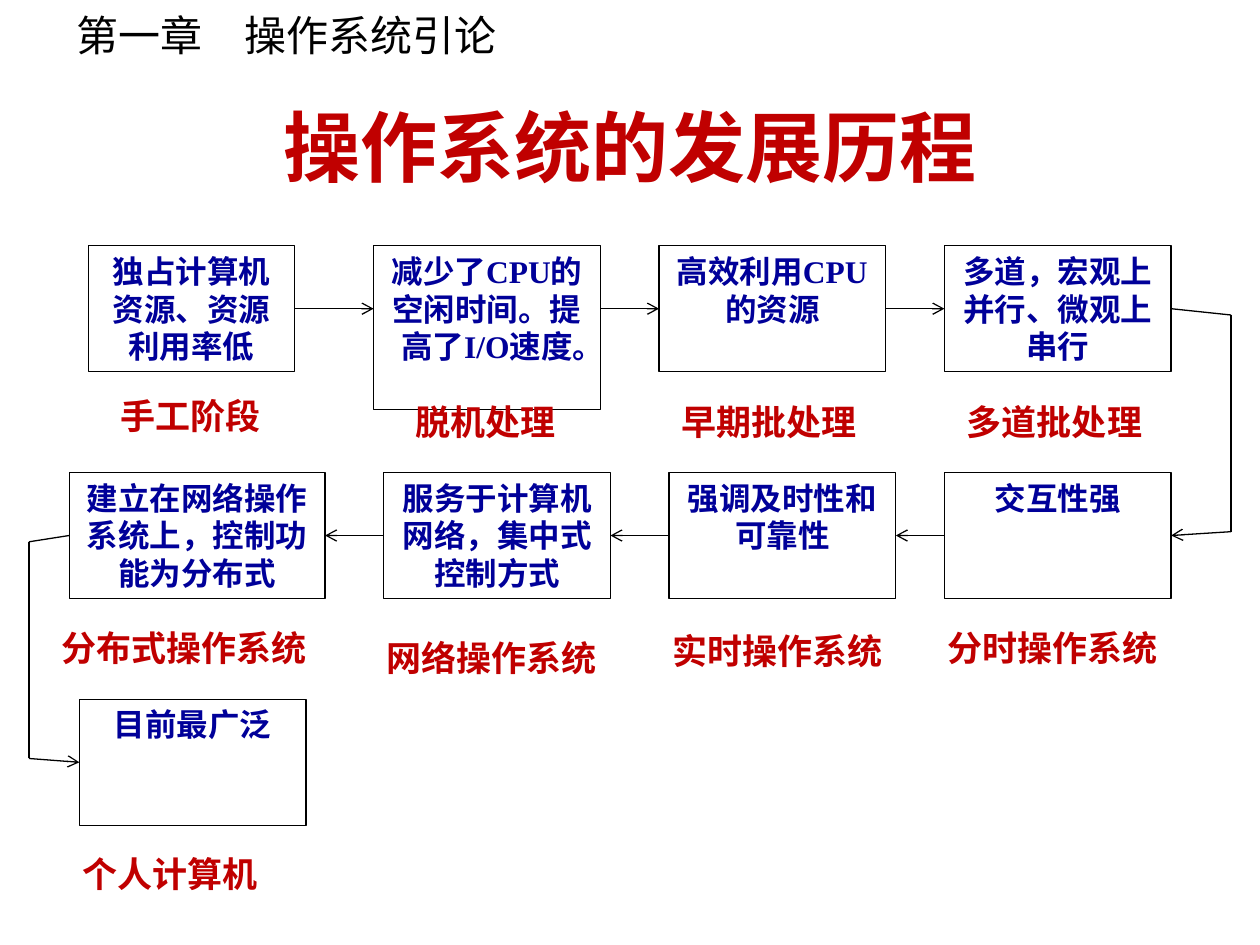
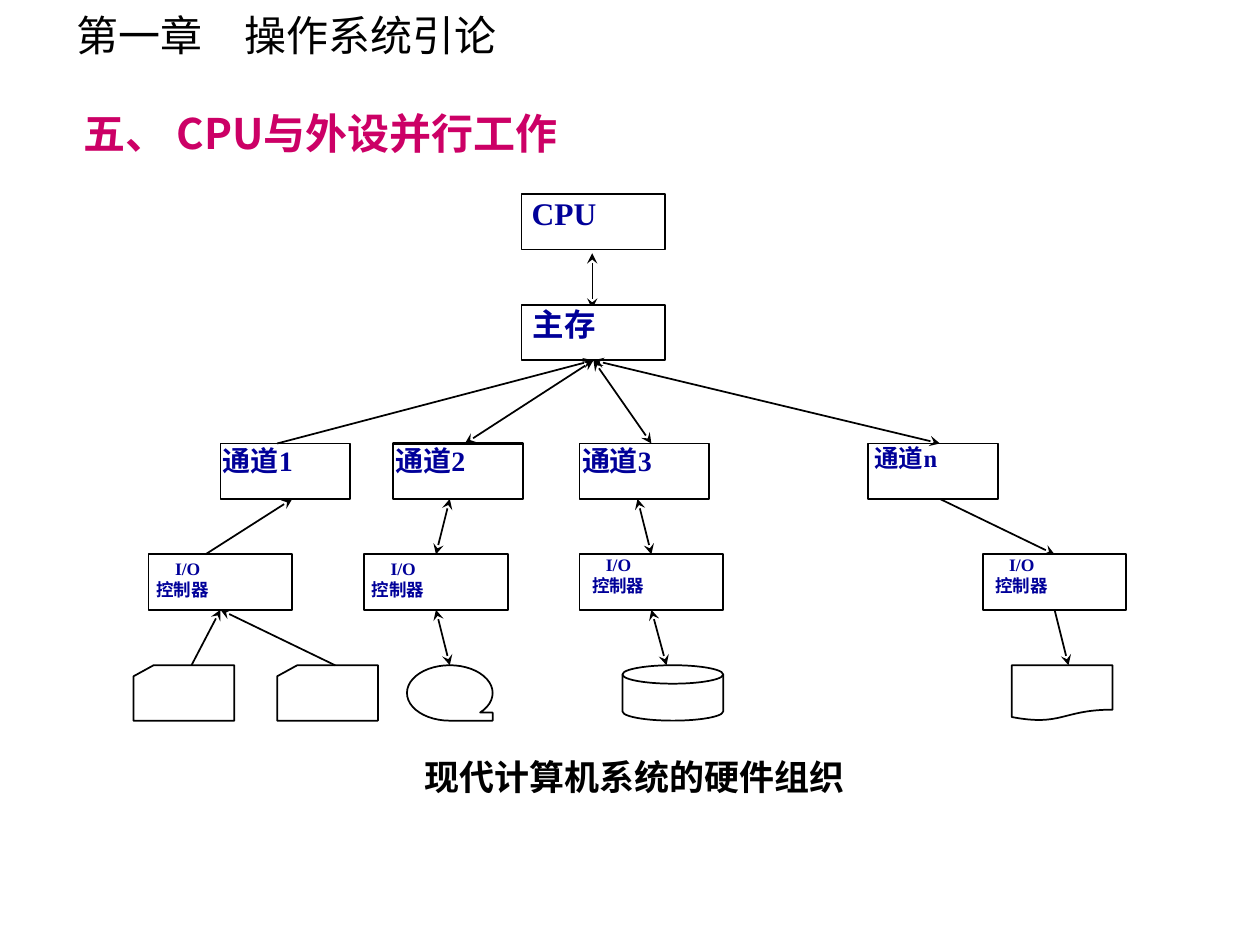
from dataclasses import dataclass

from lxml.etree import SubElement
from pptx import Presentation
from pptx.dml.color import RGBColor
from pptx.enum.shapes import MSO_CONNECTOR, MSO_SHAPE
from pptx.enum.text import MSO_ANCHOR, PP_ALIGN
from pptx.oxml.ns import qn
from pptx.util import Inches, Pt


@dataclass(frozen=True)
class Theme:
    black: str = "000000"
    white: str = "FFFFFF"
    navy: str = "000099"
    red: str = "C00000"
    magenta: str = "CC0066"
    serif: str = "Times New Roman"
    sans: str = "Noto Sans CJK SC"
    title: int = 44
    heading: int = 24
    label: int = 20
    body: int = 18
    channel: int = 16
    small: int = 14
    tiny: int = 10


THEME = Theme()
TOP, LEFT, BOTTOM, RIGHT = range(4)


def write_text(shape, lines, size, color, font=THEME.serif, bold=True,
               align=PP_ALIGN.LEFT, anchor=MSO_ANCHOR.TOP, insets=(0.1, 0.05)):
    """Fill a shape with (text, indent in inches) lines in one style."""
    frame = shape.text_frame
    frame.word_wrap = True
    frame.vertical_anchor = anchor
    frame.margin_left = frame.margin_right = Inches(insets[0])
    frame.margin_top = frame.margin_bottom = Inches(insets[1])
    for number, (text, indent) in enumerate(lines):
        paragraph = frame.add_paragraph() if number else frame.paragraphs[0]
        paragraph.text = text
        paragraph.alignment = align
        properties = paragraph._p.get_or_add_pPr()
        if indent:
            properties.set("marL", str(Inches(indent)))
            properties.set("indent", "0")
        paragraph.font.size = Pt(size)
        paragraph.font.bold = bold
        paragraph.font.color.rgb = RGBColor.from_string(color)
        paragraph.font.name = font
        SubElement(properties.find(qn("a:defRPr")), qn("a:ea"), typeface=THEME.sans)


def connect(slide, begin, end, head=None, tail=None, width=0.75):
    """Draw a line; each end is an (x, y) point or a (shape, side) pair."""
    points = [end_point if isinstance(end_point[0], (int, float)) else (0, 0)
              for end_point in (begin, end)]
    connector = slide.shapes.add_connector(
        MSO_CONNECTOR.STRAIGHT, *[Inches(value) for point in points for value in point])
    if not isinstance(begin[0], (int, float)):
        connector.begin_connect(*begin)
    if not isinstance(end[0], (int, float)):
        connector.end_connect(*end)
    connector.line.width = Pt(width)
    connector.line.color.rgb = RGBColor.from_string(THEME.black)
    outline = connector.line._get_or_add_ln()
    for tag, arrow in (("a:headEnd", head), ("a:tailEnd", tail)):
        if arrow:
            SubElement(outline, qn(tag), type=arrow)
    SubElement(connector._element.spPr, qn("a:effectLst"))


presentation = Presentation()
presentation.slide_width, presentation.slide_height = Inches(10), Inches(7.5)

# Both slides: chapter header and title placeholder
slides = []
for title, box, size, color, font, align, anchor in (
    ("操作系统的发展历程", (0.75, 0.67, 8.5, 0.97), THEME.title, THEME.red,
     THEME.serif, PP_ALIGN.CENTER, MSO_ANCHOR.MIDDLE),
    ("五、 CPU与外设并行工作", (0.56, 0.78, 5.58, 0.52), THEME.heading, THEME.magenta,
     THEME.sans, PP_ALIGN.LEFT, MSO_ANCHOR.TOP),
):
    slide = presentation.slides.add_slide(presentation.slide_layouts[5])
    header = slide.shapes.add_textbox(*map(Inches, (0.51, 0.03, 3.61, 0.5)))
    write_text(header, [("第一章　操作系统引论", 0)], THEME.heading, THEME.black,
               THEME.sans, bold=False)
    heading = slide.shapes.title
    heading.left, heading.top, heading.width, heading.height = map(Inches, box)
    write_text(heading, [(title, 0)], size, color, font, align=align, anchor=anchor)
    slides.append(slide)
history, hardware = slides
hardware.shapes.title.text_frame.paragraphs[0].line_spacing = 1.05

# Slide 1: stages on a grid, each with a label centred below its box
FIRST_LEFT, COLUMN = 0.7, 2.265
FIRST_TOP, ROW = 1.95, 1.8
# row, column, shift, width, height, text, label, label width, label shift, label drop
stages = (
    (0, 0, 0, 1.64, 1, "独占计算机资源、资源利用率低", "手工阶段", 1.33, 0, 1.13),
    (0, 1, 0, 1.8, 1.3, "减少了CPU的空闲时间。提高了I/O速度。", "脱机处理", 1.33, 0, 1.18),
    (0, 2, 0, 1.8, 1, "高效利用CPU的资源", "早期批处理", 1.64, 0, 1.18),
    (0, 3, 0, 1.8, 1, "多道，宏观上并行、微观上串行", "多道批处理", 1.64, 0, 1.18),
    (1, 3, 0, 1.8, 1, "交互性强", "分时操作系统", 1.95, 0, 1.17),
    (1, 2, 0.08, 1.8, 1, "强调及时性和可靠性", "实时操作系统", 1.95, 0, 1.2),
    (1, 1, 0.08, 1.8, 1, "服务于计算机网络，集中式控制方式", "网络操作系统", 1.95, 0, 1.25),
    (1, 0, -0.15, 2.03, 1, "建立在网络操作系统上，控制功能为分布式", "分布式操作系统",
     2.19, -0.08, 1.17),
    (2, 0, -0.07, 1.8, 1, "目前最广泛", "个人计算机", 1.95, 0, 1.17),
)
boxes = []
for (row, column, shift, width, height, text,
     label, label_width, label_shift, label_drop) in stages:
    left, top = FIRST_LEFT + column * COLUMN + shift, FIRST_TOP + row * ROW
    box = history.shapes.add_shape(
        MSO_SHAPE.RECTANGLE, *map(Inches, (left, top, width, height)))
    box.shadow.inherit = False
    box.fill.background()
    box.line.color.rgb = RGBColor.from_string(THEME.black)
    box.line.width = Pt(0.75)
    write_text(box, [(text, 0)], THEME.body, THEME.navy, align=PP_ALIGN.CENTER)
    boxes.append(box)
    label_left = left + (width - label_width) / 2 + label_shift
    caption = history.shapes.add_textbox(
        *map(Inches, (label_left, top + label_drop, label_width, 0.44)))
    write_text(caption, [(label, 0)], THEME.label, THEME.red)

# Slide 1: arrows along the rows; the taller second box is met at the row's middle
manual, offline, early_batch, multi_batch, time_sharing, real_time, network, \
    distributed, personal = boxes
row_middle = FIRST_TOP + 0.5
offline_left = FIRST_LEFT + COLUMN
for begin, end in (
    ((manual, RIGHT), (offline_left, row_middle)),
    ((offline_left + 1.8, row_middle), (early_batch, LEFT)),
    ((early_batch, RIGHT), (multi_batch, LEFT)),
    ((time_sharing, LEFT), (real_time, RIGHT)),
    ((real_time, LEFT), (network, RIGHT)),
    ((network, LEFT), (distributed, RIGHT)),
):
    connect(history, begin, end, tail="arrow")

# Slide 1: turns from one row to the next around the outer edge
for begin, end, edge, side, row in (
    (multi_batch, time_sharing, 9.77, RIGHT, 0),
    (distributed, personal, 0.23, LEFT, 1),
):
    middle = row_middle + row * ROW
    upper, lower = (edge, middle + 0.05), (edge, middle + ROW - 0.03)
    connect(history, (begin, side), upper)
    connect(history, upper, lower)
    connect(history, lower, (end, side), tail="arrow")

# Slide 2: hardware tree on half-row steps
STEP = 0.44
CPU, MEMORY, CHANNEL, CONTROLLER, DEVICE = (
    1.54 + STEP * step for step in (0, 2, 4.5, 6.5, 8.5))
connect(hardware, (4.7, CPU + STEP + 0.03), (4.7, MEMORY + 0.03), "stealth", "stealth")
rectangle = MSO_SHAPE.RECTANGLE
# name, preset, left, top, width, lines, size, insets
parts = [
    ("cpu", rectangle, 4.14, CPU, 1.14, [("CPU", 0.06)], THEME.body, (0.02, 0)),
    ("memory", rectangle, 4.14, MEMORY, 1.14, [("主存", 0.07)], THEME.body, (0.02, 0)),
]
for name, left, indent, size in (("1", 1.75, 0, THEME.channel), ("2", 3.12, 0, THEME.channel),
                                 ("3", 4.6, 0, THEME.channel), ("n", 6.89, 0.03, THEME.small)):
    parts.append(("channel " + name, rectangle, left, CHANNEL, 1.03,
                  [("通道" + name, indent)], size, (0.02, 0)))
for name, left, indent, drop in (("1", 1.18, 0.06, 0.03), ("2", 2.89, 0.06, 0.03),
                                 ("3", 4.6, 0.1, 0), ("n", 7.8, 0.1, 0)):
    parts.append(("controller " + name, rectangle, left, CONTROLLER, 1.14,
                  [("I/O", 0.21), ("控制器", indent)], THEME.tiny, (0, drop)))
for preset, left, width in (
    (MSO_SHAPE.FLOWCHART_CARD, 1.06, 0.8),
    (MSO_SHAPE.FLOWCHART_CARD, 2.2, 0.8),
    (MSO_SHAPE.FLOWCHART_MAGNETIC_DISK, 4.94, 0.8),
    (MSO_SHAPE.FLOWCHART_SEQUENTIAL_ACCESS_STORAGE, 3.23, 0.68),
    (MSO_SHAPE.FLOWCHART_DOCUMENT, 8.03, 0.8),
):
    parts.append(("device", preset, left, DEVICE, width, [], THEME.tiny, (0, 0)))

nodes = {}
for name, preset, left, top, width, lines, size, insets in parts:
    node = hardware.shapes.add_shape(preset, *map(Inches, (left, top, width, STEP)))
    node.shadow.inherit = False
    node.fill.solid()
    node.fill.fore_color.rgb = RGBColor.from_string(THEME.white)
    node.line.color.rgb = RGBColor.from_string(THEME.black)
    node.line.width = Pt(1.25 if name == "channel 2" else 1)
    write_text(node, lines, size, THEME.navy, insets=insets)
    nodes[name] = node

# Slide 2: memory to channels, channels to controllers, controllers to devices
for name, channel_in, channel_out, devices, up, down in (
    ("1", 2.2, 2.32, (1.52, 2.66), True, False),
    ("2", 3.69, 3.57, (3.57,), True, True),
    ("3", 5.17, 5.06, (5.29,), True, True),
    ("n", 7.46, 7.46, (8.48,), False, True),
):
    head, tail = "stealth" if up else None, "stealth" if down else None
    controller = nodes["controller " + name]
    connect(hardware, (nodes["memory"], BOTTOM), (channel_in, CHANNEL), "stealth", tail, 1)
    controller_top = (1.63, CONTROLLER) if name == "1" else (controller, TOP)
    connect(hardware, (channel_out, CHANNEL + STEP), controller_top, head, tail, 1)
    for device in devices:
        connect(hardware, (controller, BOTTOM), (device, DEVICE), head, tail, 1)

# Slide 2: caption
caption = hardware.shapes.add_textbox(*map(Inches, (3.27, 5.94, 3.57, 0.44)))
write_text(caption, [("现代计算机系统的硬件组织", 0)], THEME.label, THEME.black, THEME.sans,
           anchor=MSO_ANCHOR.MIDDLE)

presentation.save("out.pptx")
